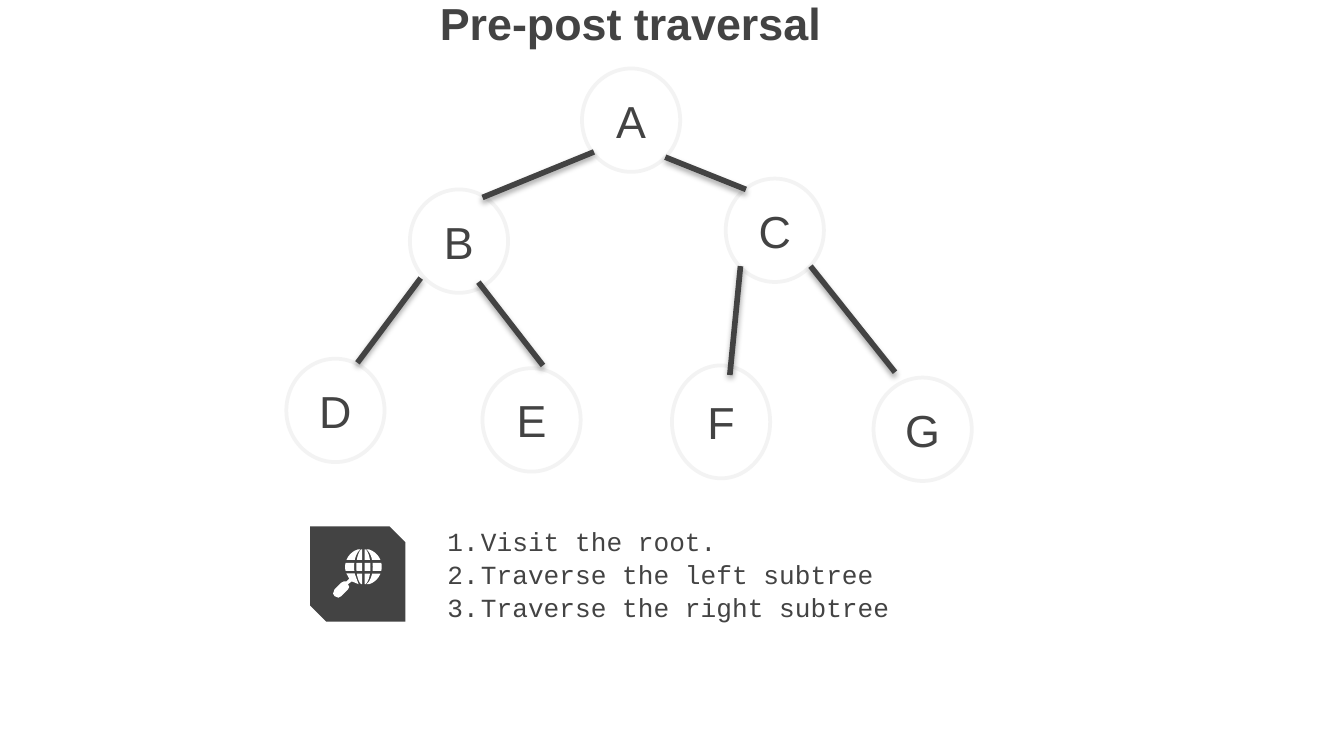
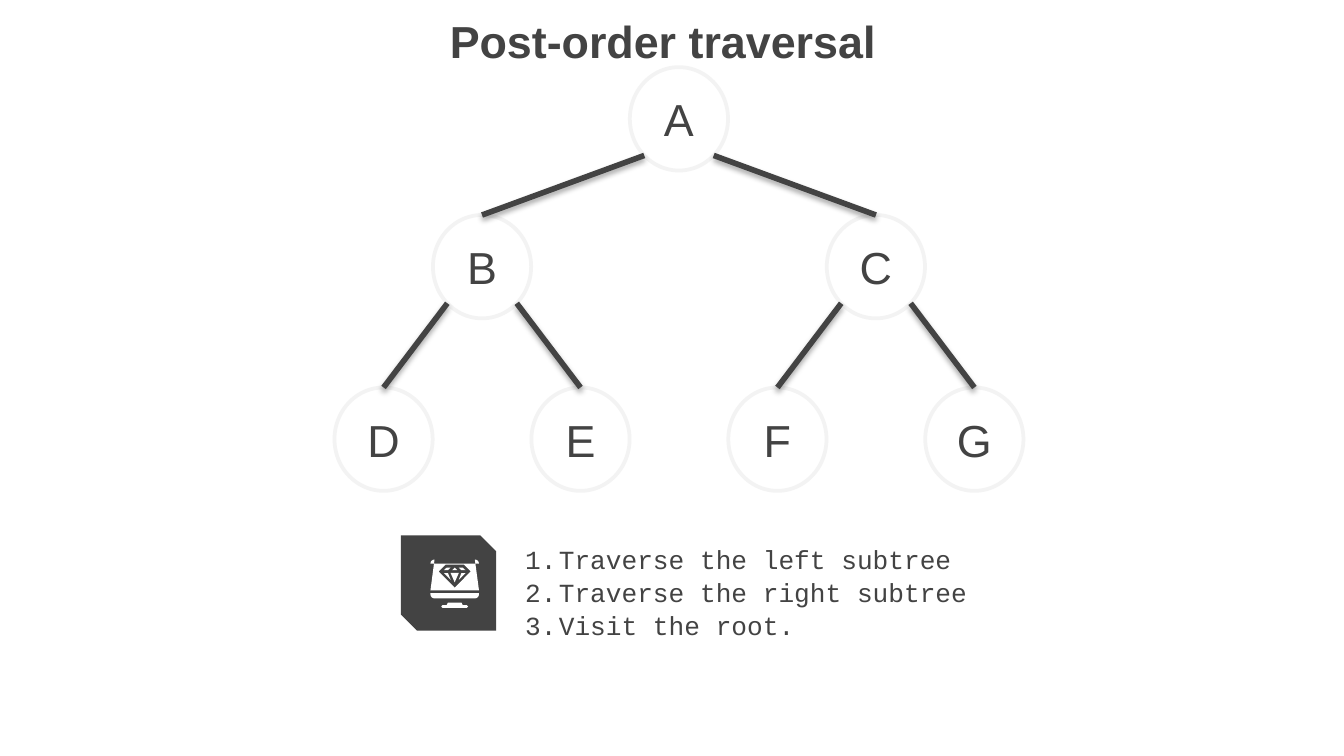
from math import cos, pi, sin, sqrt

from lxml import etree
from pptx import Presentation
from pptx.dml.color import RGBColor
from pptx.enum.shapes import MSO_CONNECTOR, MSO_SHAPE
from pptx.enum.text import MSO_ANCHOR, PP_ALIGN
from pptx.oxml.ns import qn
from pptx.util import Pt

CENTER = PP_ALIGN.CENTER
TOP, MIDDLE = MSO_ANCHOR.TOP, MSO_ANCHOR.MIDDLE
OVAL, SNIP = MSO_SHAPE.OVAL, MSO_SHAPE.SNIP_2_DIAG_RECTANGLE
LINE = MSO_CONNECTOR.STRAIGHT

COLORS = {"ink": "434343", "paper": "FFFFFF", "rim": "F3F3F3", "shade": "000000"}
SANS, MONO = "Arial", "Courier New"
NODE_W, NODE_H = 52.6, 55.4
TILE = 51


def color(name):
    return RGBColor.from_string(COLORS[name])


def style(par, size, face, bold=False):
    font = par.font
    font.size, font.name, font.bold = Pt(size), face, bold
    font.color.rgb = color("ink")


def paint(shape, fill):
    shape.shadow.inherit = False
    shape.fill.solid()
    shape.fill.fore_color.rgb = color(fill)
    shape.line.fill.background()


def add_title(slide, box, text):
    frame = slide.shapes.add_textbox(*map(Pt, box)).text_frame
    frame.word_wrap = True
    frame.vertical_anchor = TOP
    frame.margin_left = frame.margin_right = Pt(7.2)
    frame.margin_top = frame.margin_bottom = Pt(7.2)
    par = frame.paragraphs[0]
    par.text, par.alignment = text, CENTER
    style(par, 24, SANS, True)


def add_steps(slide, box, steps):
    frame = slide.shapes.add_textbox(*map(Pt, box)).text_frame
    frame.word_wrap = True
    for i, step in enumerate(steps):
        par = frame.add_paragraph() if i else frame.paragraphs[0]
        par.text, par.line_spacing = step, 1.05
        style(par, 14, MONO)
        props = par._p.get_or_add_pPr()
        props.set("marL", str(Pt(18)))
        props.set("indent", str(-Pt(18)))
        mark = etree.Element(qn("a:buAutoNum"), type="arabicPeriod")
        props.find(qn("a:lnSpc")).addnext(mark)


# Tree: nodes and the edges between them

def add_node(slide, x, y, name, height=NODE_H):
    node = slide.shapes.add_shape(OVAL, Pt(x), Pt(y), Pt(NODE_W), Pt(height))
    paint(node, "paper")
    node.line.color.rgb = color("rim")
    node.line.width = Pt(2)
    frame = node.text_frame
    frame.vertical_anchor = MIDDLE
    par = frame.paragraphs[0]
    par.text, par.alignment = name, CENTER
    style(par, 24, SANS)


def add_edge(slide, x1, y1, x2, y2):
    edge = slide.shapes.add_connector(LINE, Pt(x1), Pt(y1), Pt(x2), Pt(y2))
    edge.line.color.rgb = color("ink")
    edge.line.width = Pt(3)
    props = edge._element.spPr
    effects = etree.SubElement(props, qn("a:effectLst"))
    shadow = etree.SubElement(
        effects, qn("a:outerShdw"), blurRad=str(Pt(3.1)), dist=str(Pt(1.8)),
        dir="5400000", rotWithShape="0")
    tint = etree.SubElement(shadow, qn("a:srgbClr"), val=COLORS["shade"])
    etree.SubElement(tint, qn("a:alpha"), val="35000")


def add_tree(slide, left, top, nodes, edges):
    for name, (x, y, *height) in nodes.items():
        add_node(slide, left + x, top + y, name, *height)
    for x1, y1, x2, y2 in edges:
        add_edge(slide, left + x1, top + y1, left + x2, top + y2)


def even_tree():
    """Evenly spaced leaves, with each parent centred over its children."""
    gap, rows = 105.5, (0, 79.2, 171.6)
    nodes = {name: (i * gap, rows[2]) for i, name in enumerate("DEFG")}
    edges = []
    for row, parent, pair in ((1, "B", "DE"), (1, "C", "FG"), (0, "A", "BC")):
        x = sum(nodes[kid][0] for kid in pair) / 2
        nodes[parent] = (x, rows[row])
        for kid, side in zip(pair, (-1, 1)):
            reach = sqrt(0.5) / 2
            edges.append((x + NODE_W * (0.5 + side * reach),
                          rows[row] + NODE_H * (0.5 + reach),
                          nodes[kid][0] + NODE_W / 2, nodes[kid][1]))
    return nodes, edges


# Icons: white outlines on a snipped tile

def add_tile(slide, left, top, outlines):
    tile = slide.shapes.add_shape(SNIP, Pt(left), Pt(top), Pt(TILE), Pt(TILE))
    tile.adjustments[0], tile.adjustments[1] = 0, 0.167
    paint(tile, "ink")
    parts = []
    for loops in outlines:
        pen = None
        for loop in loops:
            spots = [(Pt(left + x), Pt(top + y)) for x, y in loop]
            if pen is None:
                pen = slide.shapes.build_freeform(*spots[0])
            else:
                pen.move_to(*spots[0])
            pen.add_line_segments(spots[1:], close=True)
        part = pen.convert_to_shape()
        paint(part, "paper")
        parts.append(part)
    slide.shapes.add_group_shape(parts)


def globe():
    mid_x, mid_y, radius, steps = 28.5, 21.7, 9.8, 8
    bands = ((-9.3, -3.7), (-2.1, 2.1), (3.7, 9.3))
    spans = ((-radius, -5), (-3.8, -0.7), (0.7, 3.8), (5, radius))

    def curve(width, low, high):
        points = []
        for i in range(steps + 1):
            y = low + (high - low) * i / steps
            bend = 1 if abs(width) < 1 else sqrt(1 - (y / radius) ** 2)
            points.append((mid_x + width * bend, mid_y + y))
        return points

    cells = [[curve(west, low, high) + curve(east, high, low)]
             for low, high in bands for west, east in spans
             if (low, west) != (3.7, -radius)]
    # The lower left cell runs on into the handle of the lens
    handle = [(19.4, 25.2), (20.9, 28.1), (19.4, 29.5), (18, 29.5),
              (16.6, 30.2), (13, 33.8), (12.2, 36), (13, 37.4), (15.1, 38.2),
              (16.6, 37.4), (20.2, 33.8), (20.9, 32.4), (20.2, 31),
              (22.3, 29.5), (25.9, 31), (23.8, 25.2)]
    return cells + [[handle]]


def screen():
    axis = 28.8

    def flip(points):
        return [(2 * axis - x, y) for x, y in reversed(points)]

    def whole(*half):
        return list(half) + flip(half)

    def corner(x, y, turn):
        return [(x - 2.2 * sin(turn + i * pi / 8), y - 2.2 * cos(turn + i * pi / 8))
                for i in range(5)]

    frame = whole(*reversed(corner(18, 15.2, 0)), (15.8, 29.5))[::1]
    gem = whole((axis, 28.1), (20.2, 19.4), (23.8, 15.8))
    base = whole((axis, 33.8), *reversed(corner(18, 31.6, pi / 2)), (15.8, 31))
    foot = whole((25.2, 36), (24.5, 37.4), (22.3, 37.4), (21.6, 38.2), (22.3, 38.9))
    crown = [(24.5, 17.3), (23, 18.7), (25.2, 18.7), (26.6, 17.3)]
    facet = [(23, 20.2), (26.6, 23.8), (25.2, 20.2)]
    peak = [(axis, 17.3), (27.4, 18.7), (30.2, 18.7)]
    point = [(26.6, 20.2), (axis, 25.2), (31, 20.2)]
    plain = (base, foot, crown, flip(crown), facet, flip(facet), peak, point)
    return [[frame, gem]] + [[loop] for loop in plain]


# Slides

def add_slide(deck, title, title_at, tree, tree_at, icon, icon_at, steps, steps_box):
    slide = deck.slides.add_slide(deck.slide_layouts[6])
    add_title(slide, (*title_at, 410.4, 74.2), title)
    add_tree(slide, *tree_at, *tree)
    add_tile(slide, *icon_at, icon)
    add_steps(slide, steps_box, steps)


def main():
    deck = Presentation()
    deck.slide_width, deck.slide_height = Pt(720), Pt(405)
    root = "Visit the root."
    sides = [f"Traverse the {side} subtree" for side in ("left", "right")]

    loose_nodes = {
        "A": (158.4, 0), "C": (235.4, 59), "B": (66.2, 64.8),
        "G": (314.6, 165.6), "E": (105.1, 160.6),
        "F": (206.6, 159.1, 60.5), "D": (0, 155.5)}
    loose_edges = [
        (164.8, 44.7, 105.1, 69.1), (203, 47.5, 246.2, 64.8),
        (243.3, 105.9, 237.6, 164.2), (280.8, 105.9, 326.1, 162.7),
        (102.9, 114.5, 137.5, 159.1), (72, 112.3, 38.1, 157.7)]

    add_slide(deck, "Pre-post traversal", (132.5, -9.4),
              (loose_nodes, loose_edges), (153.4, 36.7),
              globe(), (166.2, 282), [root] + sides, (232.6, 277.2, 360, 74.9))
    add_slide(deck, "Post-order traversal", (149.8, 0),
              even_tree(), (179.2, 36),
              screen(), (214.8, 286.8), sides + [root], (274.3, 286.6, 360, 92.2))
    deck.save("out.pptx")


if __name__ == "__main__":
    main()
